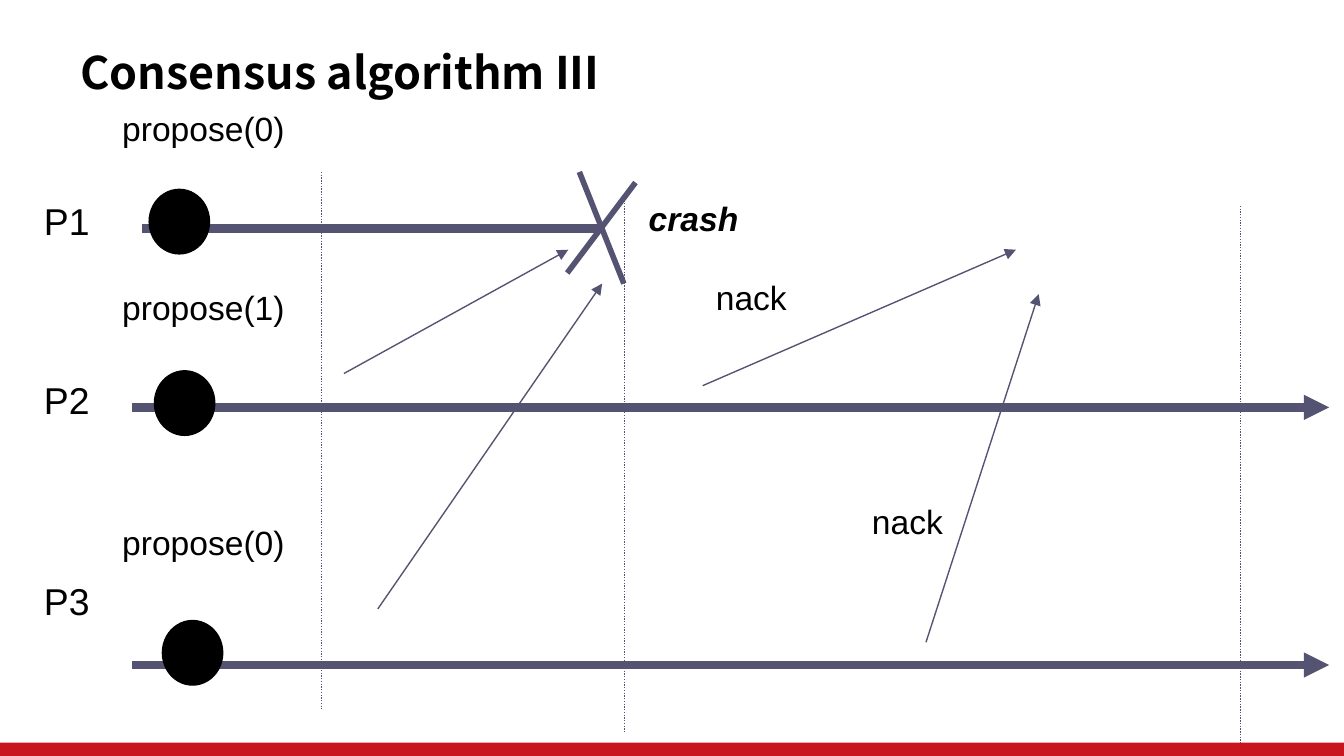
"""Build the consensus timeline slide with a crashed process and two nacks."""
from typing import NamedTuple

from lxml import etree
from pptx import Presentation
from pptx.dml.color import RGBColor
from pptx.enum import dml, shapes, text
from pptx.oxml import ns
from pptx.util import Cm, Pt

COLORS = {"bar": "C9151E", "line": "545472", "ink": "000000"}
DOT_SIZE = (1.14, 1.22)
GUIDE_LENGTH = 10.16


class Label(NamedTuple):
    words: str
    left: float
    top: float
    width: float
    height: float = 0.99
    size: int = 18
    font: str = "Arial"
    bold: bool = False
    italic: bool = False
    wrap: bool = True
    spacing: float = 0.95


class Stroke(NamedTuple):
    start: tuple[float, float]
    end: tuple[float, float]
    weight: float = 0.75
    arrow: bool = False
    dotted: bool = False


class Process(NamedTuple):
    name: str
    name_top: float
    proposal: str
    proposal_top: float
    dot: tuple[float, float]
    axis: Stroke


PROCESSES = [
    Process("P1", 3.68, "propose(0)", 1.98, (2.82, 3.58),
            Stroke((2.69, 4.32), (11.38, 4.32), 4.5)),
    Process("P2", 7.06, "propose(1)", 5.36, (2.92, 7.01),
            Stroke((2.49, 7.7), (25.12, 7.7), 4.5, arrow=True)),
    Process("P3", 10.87, "propose(0)", 9.8, (3.07, 11.73),
            Stroke((2.49, 12.57), (25.12, 12.57), 4.5, arrow=True)),
]
ROUND_STARTS = [(6.08, 3.25), (11.8, 3.68), (23.44, 3.89)]
CRASH_CROSS = [
    Stroke((12.01, 3.45), (10.72, 5.16), 3),
    Stroke((10.95, 3.25), (11.79, 5.36), 3),
]
MESSAGES = [
    Stroke((17.5, 12.14), (19.63, 5.56), arrow=True),
    Stroke((7.14, 11.51), (11.38, 5.36), arrow=True),
    Stroke((13.28, 7.29), (19.2, 4.72), arrow=True),
    Stroke((6.5, 7.06), (10.74, 4.72), arrow=True),
]
TITLE = Label("Consensus algorithm III", 1.27, 0.74, 17.68, 1.24, 24,
              "Noto Sans CJK SC", bold=True, spacing=1.0)
EVENTS = [
    Label("crash", 12.01, 3.68, 4.24, bold=True, italic=True),
    Label("nack", 13.28, 5.16, 4.01),
    Label("nack", 16.23, 9.4, 4.01),
]


def color(name: str) -> RGBColor:
    """Return the named colour."""
    return RGBColor.from_string(COLORS[name])


def draw_label(slide, label: Label) -> None:
    """Add one text box."""
    box = slide.shapes.add_textbox(
        Cm(label.left), Cm(label.top), Cm(label.width), Cm(label.height))
    frame = box.text_frame
    frame.word_wrap = label.wrap
    frame.vertical_anchor = (
        text.MSO_ANCHOR.MIDDLE if label is TITLE else text.MSO_ANCHOR.TOP)
    paragraph = frame.paragraphs[0]
    paragraph.text = label.words
    paragraph.line_spacing = label.spacing
    font = paragraph.font
    font.name, font.size = label.font, Pt(label.size)
    font.bold, font.italic = label.bold, label.italic
    font.color.rgb = color("ink")


def draw_stroke(slide, stroke: Stroke) -> None:
    """Add one straight line, with an arrowhead or dots where asked."""
    connector = slide.shapes.add_connector(
        shapes.MSO_CONNECTOR.STRAIGHT, *map(Cm, stroke.start + stroke.end))
    line = connector.line
    line.color.rgb = color("line")
    line.width = Pt(stroke.weight)
    if stroke.dotted:
        line.dash_style = dml.MSO_LINE.ROUND_DOT
    properties = connector._element.spPr
    if stroke.arrow:
        etree.SubElement(properties.find(ns.qn("a:ln")),
                         ns.qn("a:tailEnd"), type="triangle")
    etree.SubElement(properties, ns.qn("a:effectLst"))


def draw_shape(slide, kind: shapes.MSO_SHAPE, place: tuple[float, ...],
               fill: str, outlined: bool = False) -> None:
    """Add one filled preset shape."""
    shape = slide.shapes.add_shape(kind, *map(Cm, place))
    shape.shadow.inherit = False
    shape.fill.solid()
    shape.fill.fore_color.rgb = color(fill)
    if outlined:
        shape.line.color.rgb = color(fill)
        shape.line.width = Pt(0.75)
    else:
        shape.line.fill.background()


def main() -> None:
    """Assemble and save the slide."""
    presentation = Presentation()
    presentation.slide_width, presentation.slide_height = Cm(25.4), Cm(14.29)
    slide = presentation.slides.add_slide(presentation.slide_layouts[6])

    draw_shape(slide, shapes.MSO_SHAPE.RECTANGLE, (0, 14.04, 25.4, 0.25), "bar")
    draw_label(slide, TITLE)
    for process in PROCESSES:
        draw_stroke(slide, process.axis)
        draw_label(slide, Label(process.name, 0.58, process.name_top,
                                1.37, 1.07, 20, wrap=False))
        draw_label(slide, Label(process.proposal, 2.06, process.proposal_top, 4.45))
    for left, top in ROUND_STARTS:
        draw_stroke(slide, Stroke((left, top), (left, top + GUIDE_LENGTH), dotted=True))
    for stroke in CRASH_CROSS + MESSAGES:
        draw_stroke(slide, stroke)
    for event in EVENTS:
        draw_label(slide, event)
    for process in PROCESSES:
        draw_shape(slide, shapes.MSO_SHAPE.OVAL, process.dot + DOT_SIZE, "ink", True)

    presentation.save("out.pptx")


if __name__ == "__main__":
    main()
